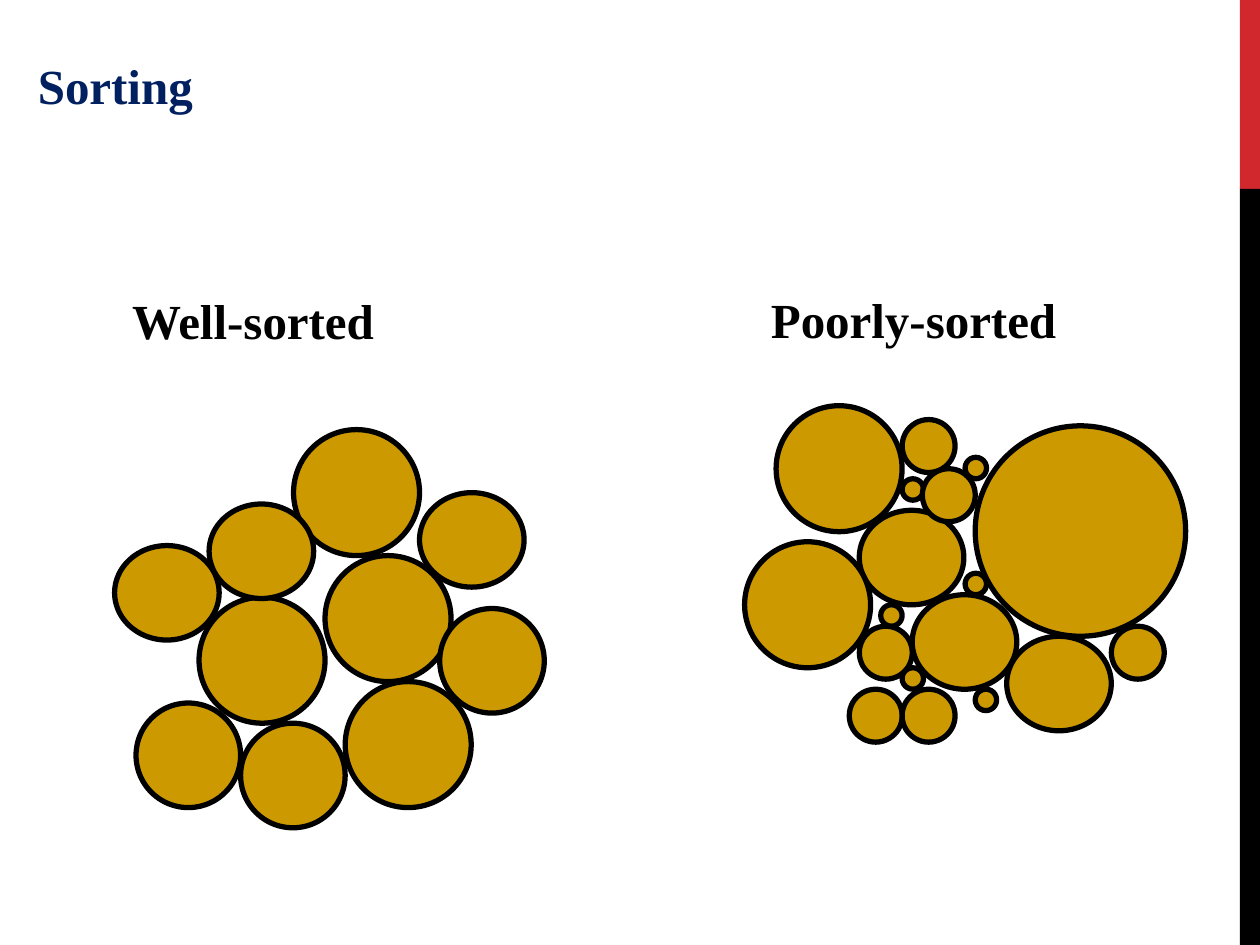
from pptx import Presentation
from pptx.dml.color import RGBColor
from pptx.enum import shapes, text
from pptx.util import Inches, Pt

THEME = {
    "font": "Times New Roman", "size": 28,
    "title": "002060", "label": "000000",
    "grain": "CC9900", "outline": "000000", "outline_width": 3,
    "accent": "D1282E", "bar": "000000",
}
SLIDE_SIZE = (10, 7.5)
BAR_LEFT, ACCENT_HEIGHT = 9.84, 1.5

GRAIN_SIZES = {
    "boulder": (1.67, 1.67),
    "large": (1, 1),
    "medium": (0.83, 0.83),
    "oval": (0.83, 0.75),
    "small": (0.42, 0.42),
    "tiny": (0.17, 0.17),
}

TITLE = ("Sorting", (0.2, 0.21, 2.6, 1))
SAMPLES = [
    ("Well-sorted", (0.95, 2.26, 2.14, 0.57), [
        ("large", [(1.58, 4.74), (2.58, 4.41), (2.74, 5.41), (2.33, 3.41)]),
        ("oval", [(3.33, 3.91), (1.66, 4)]),
        ("medium", [(3.49, 4.83), (1.91, 5.74), (1.08, 5.58)]),
        ("oval", [(0.91, 4.33)]),
    ]),
    ("Poorly-sorted", (6.02, 2.25, 2.49, 0.57), [
        ("large", [(6.16, 3.22)]),
        ("oval", [(6.82, 4.05)]),
        ("small", [(6.74, 5.47), (6.82, 4.97), (8.82, 4.97)]),
        ("oval", [(7.24, 4.72), (7.99, 5.05)]),
        ("large", [(5.91, 4.3)]),
        ("boulder", [(7.74, 3.38)]),
        ("tiny", [(7.74, 5.47), (7.16, 3.8), (7.66, 3.63), (6.99, 4.8), (7.16, 5.3)]),
        ("small", [(7.16, 3.33), (7.16, 5.47), (7.32, 3.72)]),
        ("tiny", [(7.66, 4.55)]),
    ]),
]


def rgb(role):
    return RGBColor.from_string(THEME[role])


def write(frame, wording, role):
    frame.text = wording
    line = frame.paragraphs[0]
    line.alignment = text.PP_ALIGN.LEFT
    font = line.runs[0].font
    font.name, font.size, font.bold = THEME["font"], Pt(THEME["size"]), True
    font.color.rgb = rgb(role)


def add_filled(slide, preset, box, role):
    shape = slide.shapes.add_shape(preset, *map(Inches, box))
    shape.shadow.inherit = False
    shape.fill.solid()
    shape.fill.fore_color.rgb = rgb(role)
    shape.line.fill.background()
    return shape


def add_title(slide):
    wording, box = TITLE
    title = slide.shapes.title
    title.left, title.top, title.width, title.height = map(Inches, box)
    frame = title.text_frame
    write(frame, wording, "title")
    frame.word_wrap = True
    frame.auto_size = text.MSO_AUTO_SIZE.NONE
    frame.vertical_anchor = text.MSO_ANCHOR.MIDDLE
    frame.paragraphs[0].line_spacing = 0.85


def add_sample(slide, label, label_box, grains):
    frame = slide.shapes.add_textbox(*map(Inches, label_box)).text_frame
    write(frame, label, "label")
    frame.word_wrap = False
    frame.auto_size = text.MSO_AUTO_SIZE.SHAPE_TO_FIT_TEXT
    for size, corners in grains:
        for corner in corners:
            grain = add_filled(slide, shapes.MSO_SHAPE.OVAL,
                               corner + GRAIN_SIZES[size], "grain")
            grain.line.color.rgb = rgb("outline")
            grain.line.width = Pt(THEME["outline_width"])


def main():
    deck = Presentation()
    width, height = SLIDE_SIZE
    deck.slide_width, deck.slide_height = Inches(width), Inches(height)
    slide = deck.slides.add_slide(deck.slide_layouts.get_by_name("Title Only"))

    bar_width = width - BAR_LEFT
    for top, bottom, role in [(0, ACCENT_HEIGHT, "accent"), (ACCENT_HEIGHT, height, "bar")]:
        add_filled(slide, shapes.MSO_SHAPE.RECTANGLE,
                   (BAR_LEFT, top, bar_width, bottom - top), role)
    add_title(slide)
    for sample in SAMPLES:
        add_sample(slide, *sample)
    deck.save("out.pptx")


if __name__ == "__main__":
    main()
